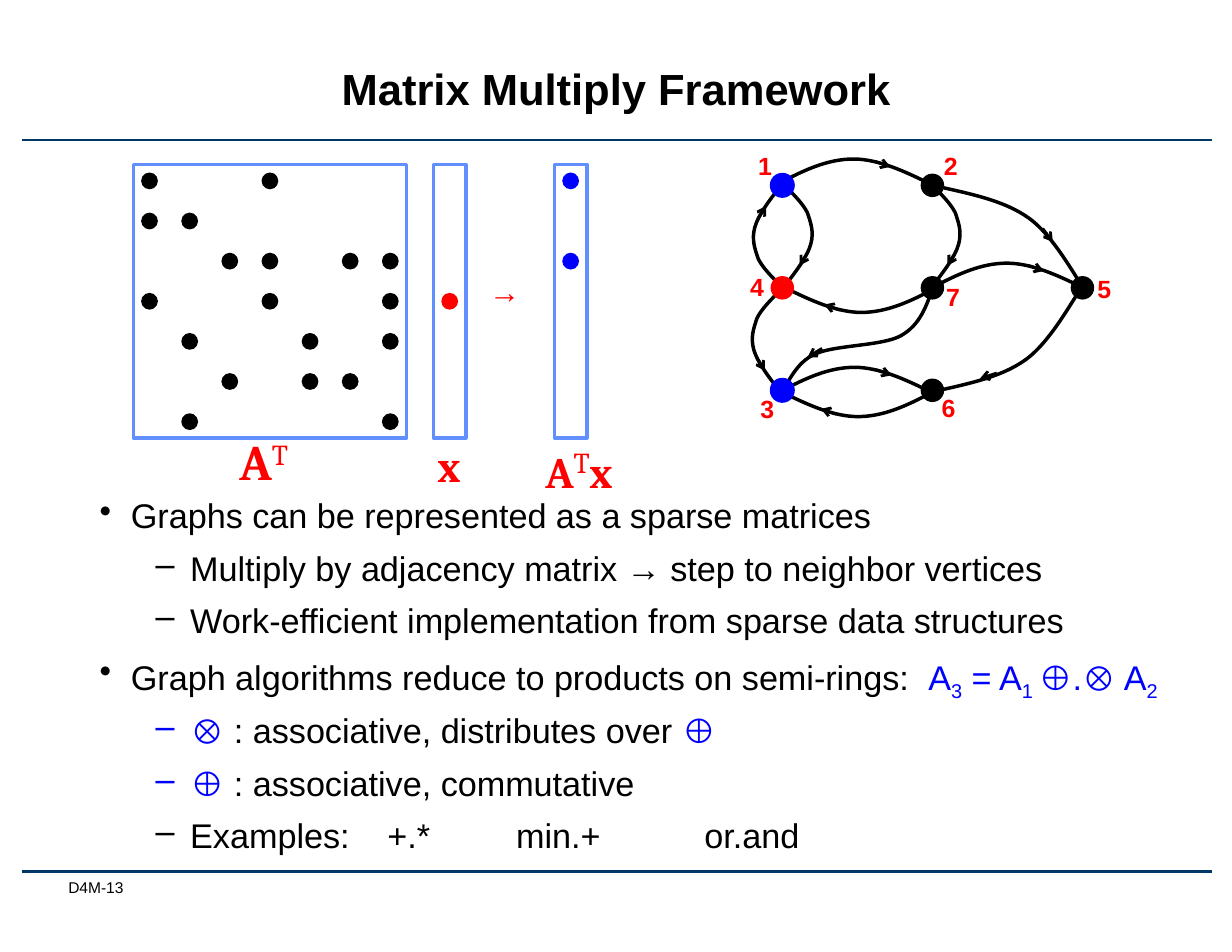
from lxml.etree import SubElement
from pptx import Presentation
from pptx.dml.color import RGBColor
from pptx.enum.shapes import MSO_CONNECTOR, MSO_SHAPE
from pptx.enum.text import MSO_ANCHOR, MSO_AUTO_SIZE, PP_ALIGN
from pptx.oxml.ns import qn
from pptx.util import Inches, Pt

# Content
HUE = {"ink": "000000", "blue": "0000FF", "red": "FF0000",
       "frame": "618FFD", "rule": "003767"}
TITLE = "Matrix Multiply Framework"
FOOT = "D4M-13"

# Bullets: level, then runs of text, colour, baseline
BODY = [
    (0, [("Graphs can be represented as a sparse matrices", "ink", 0)]),
    (1, [("Multiply by adjacency matrix → step to neighbor vertices", "ink", 0)]),
    (1, [("Work-efficient implementation from sparse data structures", "ink", 0)]),
    (0, [("Graph algorithms reduce to products on semi-rings:  ", "ink", 0),
         ("A", "blue", 0), ("3", "blue", -25), (" = A", "blue", 0),
         ("1 ", "blue", -25), ("⊕.⊗ A", "blue", 0), ("2", "blue", -25)]),
    (1, [("⊗", "blue", 0), (" : associative, distributes over ", "ink", 0),
         ("⊕", "blue", 0)]),
    (1, [("⊕", "blue", 0), (" : associative, commutative", "ink", 0)]),
    (1, [("Examples:\t+.*\tmin.+\tor.and", "ink", 0)]),
]
TABS = [2.57, 3.72, 5.4]
LEVEL = [("•", 0.28, -0.28), ("–", 0.81, -0.31)]

# Grids of dots: left edge, dot colour, rows
GRIDS = [
    (1.19, "ink", ["*..*...", "**.....", "..**.**", "*..*..*",
                   ".*..*.*", "..*.**.", ".*....*"]),
    (3.87, "red", [".", ".", ".", "*", ".", ".", "."]),
    (4.95, "blue", ["*", ".", "*", ".", ".", ".", "."]),
]
TOP, PAD, DOT, STEP = 1.47, 0.07, 0.15, 2.15 / 6

# Captions: box, alignment, runs of text, size, bold, baseline
CAPS = [
    ((1.97, 3.8, 0.7, 0.63), PP_ALIGN.RIGHT, [("A", 32, True, 0), ("T", 32, False, 30)]),
    ((3.81, 3.87, 0.4, 0.57), PP_ALIGN.LEFT, [("x", 28, True, 0)]),
    ((4.77, 3.87, 0.85, 0.57), PP_ALIGN.LEFT,
     [("A", 28, True, 0), ("T", 32, False, 30), ("x", 28, True, 0)]),
]

# Vertices: number, column, row, colour, label corner
NODES = [
    ("1", 0, 0, "blue", (6.67, 1.3)), ("2", 1, 0, "ink", (8.33, 1.3)),
    ("3", 0, 2, "blue", (6.69, 3.47)), ("4", 0, 1, "red", (6.6, 2.38)),
    ("5", 2, 1, "ink", (9.7, 2.39)), ("6", 1, 2, "ink", (8.31, 3.46)),
    ("7", 1, 1, "ink", (8.35, 2.47)),
]
# Curves as offsets from their start, then the arrow on them
SWEEP = [(0, 0), (.31, .07), (.62, .13), (.84, .29), (1.06, .45), (1.25, .81), (1.33, .92)]
CURVES = {
    "bow": ([(0, 0), (.08, .08), (.16, .16), (.2, .24), (.23, .33), (.26, .41),
             (.23, .52), (.2, .63), (.1, .76), (0, .89)], [(.21, .58), (.13, .71)]),
    "arc": ([(0, 0), (.21, -.11), (.42, -.21), (.65, -.21), (.87, -.21),
             (1.11, -.1), (1.35, .02)], [(.84, -.19), (.98, -.14)]),
    "out": (SWEEP, [(.96, .38), (1.05, .5)]),
    "back": (SWEEP, [(.58, .17), (.43, .12)]),
    "wave": ([(0, 0), (.05, -.04), (.11, -.23), (.29, -.31), (.47, -.39), (.88, -.38),
              (1.05, -.47), (1.23, -.57), (1.28, -.74), (1.34, -.9)],
             [(.35, -.36), (.22, -.28)]),
}
# Edges: curve, start, flips
EDGES = [
    ("bow", 6.97, 2.55, -1, -1), ("bow", 7.01, 1.66, 1, 1),
    ("bow", 6.96, 2.6, -1, 1), ("bow", 8.33, 1.66, 1, 1),
    ("arc", 6.97, 1.63, 1, 1), ("arc", 8.34, 2.56, 1, 1),
    ("arc", 6.98, 3.49, 1, 1), ("arc", 8.31, 3.51, -1, -1),
    ("arc", 8.34, 2.58, -1, -1), ("wave", 6.99, 3.47, 1, 1),
    ("out", 8.35, 1.66, 1, 1), ("back", 8.32, 3.5, 1, -1),
]

deck = Presentation()
deck.slide_width, deck.slide_height = Inches(11), Inches(8.5)
shapes = deck.slides.add_slide(deck.slide_layouts[6]).shapes


def tint(key):
    return RGBColor.from_string(HUE[key])


def shape(kind, box, fill=None, line=None, width=1):
    part = shapes.add_shape(kind, *map(Inches, box))
    style(part, fill, line, width)


def style(part, fill, line, width):
    part.shadow.inherit = False
    if fill:
        part.fill.solid()
        part.fill.fore_color.rgb = tint(fill)
    else:
        part.fill.background()
    if line:
        part.line.color.rgb = tint(line)
        part.line.width = Pt(width)
    else:
        part.line.fill.background()


def rule(start, end, color, arrow=False):
    part = shapes.add_connector(MSO_CONNECTOR.STRAIGHT, *map(Inches, start + end))
    part.line.color.rgb = tint(color)
    part.line.width = Pt(1.75)
    if arrow:
        SubElement(part.line._get_or_add_ln(), qn("a:tailEnd"), type="arrow")
    SubElement(part.element.spPr, qn("a:effectLst"))


def curve(points):
    spots = [(Inches(x), Inches(y)) for x, y in points]
    form = shapes.build_freeform(*spots[0], scale=1.0)
    form.add_line_segments(spots[1:], close=False)
    part = form.convert_to_shape()
    style(part, None, "ink", 2.25)
    # Each three points become one Bezier segment
    track = part.element.find(".//" + qn("a:path"))
    legs = track.findall(qn("a:lnTo"))
    for i in range(0, len(legs), 3):
        bend = SubElement(track, qn("a:cubicBezTo"))
        for leg in legs[i:i + 3]:
            bend.append(leg[0])
            track.remove(leg)


def frame(box, wrap=True):
    text = shapes.add_textbox(*map(Inches, box)).text_frame
    text.word_wrap = wrap
    text.auto_size = MSO_AUTO_SIZE.NONE if wrap else MSO_AUTO_SIZE.SHAPE_TO_FIT_TEXT
    return text


def write(para, words, size, color="ink", bold=False, base=0, face="Arial"):
    run = para.add_run()
    run.text = words
    font = run.font
    font.name, font.size, font.bold = face, Pt(size), bold
    font.color.rgb = tint(color)
    if base:
        font._element.set("baseline", str(base * 1000))


# Rules, footer and title
for y in (1.25, 7.78):
    rule((0.2, y), (10.82, y), "rule")
foot = frame((0.55, 7.84, 1.31, 0.27))
foot.margin_left = Inches(0.06)
foot.margin_right = foot.margin_top = foot.margin_bottom = 0
write(foot.paragraphs[0], FOOT, 10)
head = frame((1.13, 0.31, 8.74, 1.01))
head.vertical_anchor = MSO_ANCHOR.MIDDLE
head.paragraphs[0].alignment = PP_ALIGN.CENTER
head.paragraphs[0].line_spacing = Pt(30)
write(head.paragraphs[0], TITLE, 28, bold=True)

# Bullets
body = frame((0.79, 4.41, 9.78, 3.21))
for i, (level, runs) in enumerate(BODY):
    para = body.add_paragraph() if i else body.paragraphs[0]
    para.level, para.line_spacing = level, 0.9
    para.space_before, para.space_after = Pt(3.3), Pt(6.7)
    mark, left, hang = LEVEL[level]
    props = para._p.get_or_add_pPr()
    props.set("marL", str(Inches(left)))
    props.set("indent", str(Inches(hang)))
    SubElement(props, qn("a:buChar"), char=mark)
    if "\t" in runs[0][0]:
        stops = SubElement(props, qn("a:tabLst"))
        for x in TABS:
            SubElement(stops, qn("a:tab"), pos=str(Inches(x)), algn="l")
    for words, color, base in runs:
        write(para, words, 22, color, base=base)

# Matrix and vectors
for left, color, rows in GRIDS:
    wide, high = [(n - 1) * STEP + DOT + 2 * PAD for n in (len(rows[0]), len(rows))]
    shape(MSO_SHAPE.RECTANGLE, (left, TOP, wide, high), line="frame", width=2.25)
    for r, row in enumerate(rows):
        for c, cell in enumerate(row):
            if cell == "*":
                shape(MSO_SHAPE.OVAL, (left + PAD + c * STEP, TOP + PAD + r * STEP, DOT, DOT), color)
for box, align, runs in CAPS:
    para = frame(box, False).paragraphs[0]
    para.alignment = align
    for words, size, bold, base in runs:
        write(para, words, size, "red", bold, base, "Cambria")
write(frame((4.27, 2.38, 0.53, 0.5), False).paragraphs[0], "→", 20, "red")

# Graph
for kind, x, y, sx, sy in EDGES:
    line, arrow = [[(x + sx * dx, y + sy * dy) for dx, dy in part] for part in CURVES[kind]]
    curve(line)
    rule(*arrow, "ink", arrow=True)
for name, col, row, color, spot in NODES:
    box = (6.88 + 1.34 * col, 1.55 + 0.915 * row, 0.21, 0.21)
    shape(MSO_SHAPE.OVAL, box, color, "blue" if color == "blue" else None)
    write(frame((*spot, 0.32, 0.37), False).paragraphs[0], name, 16, "red", True)

deck.save("out.pptx")
